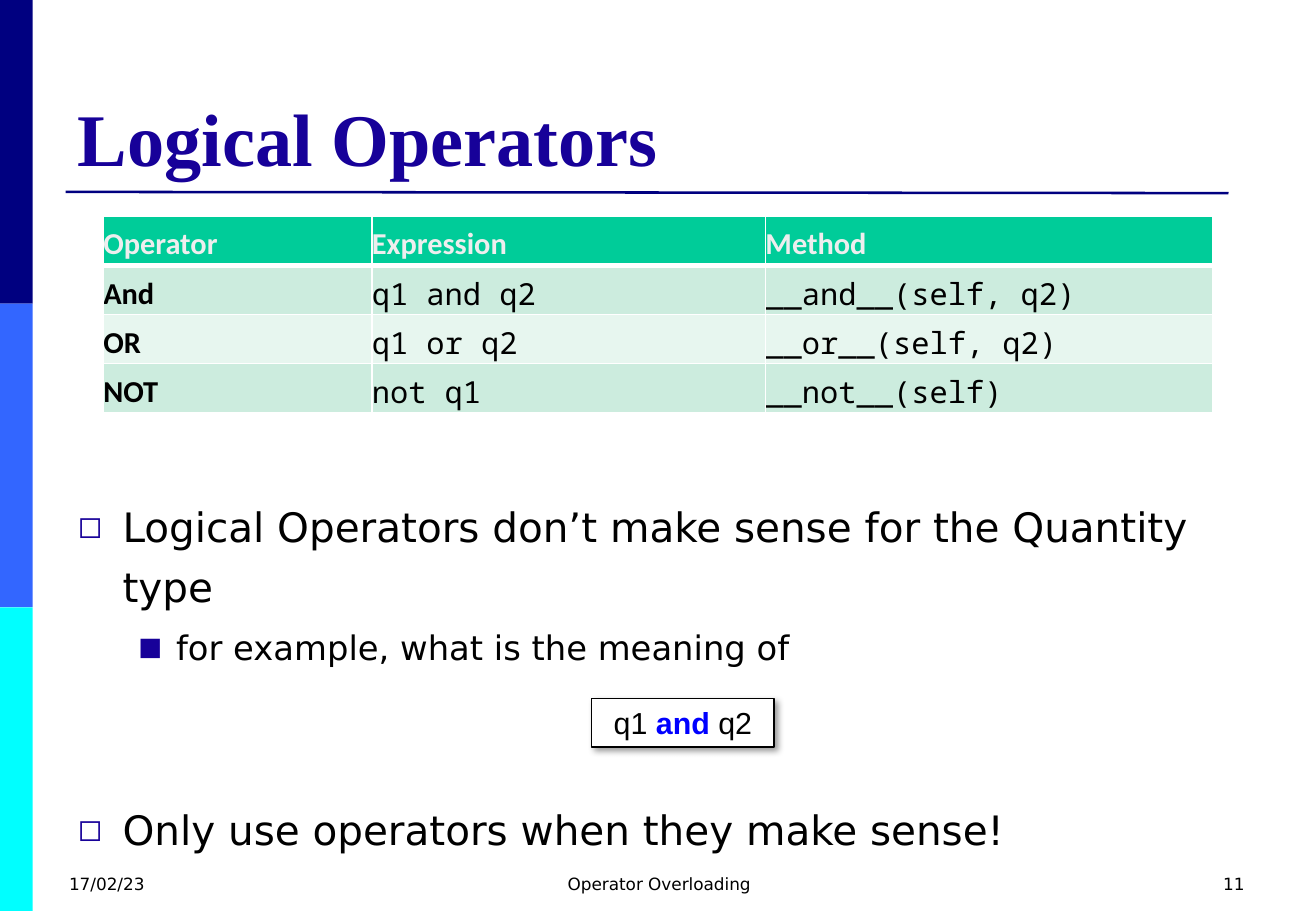
from typing import NamedTuple

from lxml.etree import SubElement
from pptx import Presentation
from pptx.dml.color import RGBColor
from pptx.enum.shapes import MSO_CONNECTOR, MSO_SHAPE
from pptx.enum.text import MSO_ANCHOR as ANCHOR, MSO_AUTO_SIZE as AUTO, PP_ALIGN as ALIGN
from pptx.oxml.ns import qn
from pptx.util import Inches, Pt

COLORS = {
    "navy": "000080", "blue": "3366FF", "cyan": "00FFFF", "title": "170199",
    "black": "000000", "white": "FFFFFF", "keyword": "0000FF",
    "head": "00CC99", "head_text": "EEEEEE", "band": "CCECDE", "light": "E7F6EF",
}
SANS, MONO = "DejaVu Sans", "Noto Sans Mono"


class Bullet(NamedTuple):
    text: str
    size: float
    symbol: str
    margin: float
    hang: float
    spacing: float
    before: float


class Footer(NamedTuple):
    text: str
    left: float
    width: float
    align: ALIGN


BULLETS = [
    Bullet("Logical Operators don’t make sense for the Quantity type", 24, "◻", 0.37, 0.37, 1.25, 0),
    Bullet("for example, what is the meaning of", 20, "■", 0.81, 0.31, 1.15, 6),
    Bullet("Only use operators when they make sense!", 24, "◻", 0.37, 0.37, 1.25, 74),
]
FOOTERS = [
    Footer("17/02/23", 0.47, 2.53, ALIGN.LEFT),
    Footer("Operator Overloading", 3.71, 3.43, ALIGN.CENTER),
    Footer("11", 7.81, 2.53, ALIGN.RIGHT),
]
ROWS = [
    ("Operator", "Expression", "Method"),
    ("And", "q1 and q2", "__and__(self, q2)"),
    ("OR", "q1 or q2", "__or__(self, q2)"),
    ("NOT", "not q1", "__not__(self)"),
]
COLUMN_WIDTHS = [2.21, 3.24, 3.68]
TABLE_HEIGHT = 1.62


def rgb(name: str) -> RGBColor:
    return RGBColor.from_string(COLORS[name])


def add_run(p, text: str, size: float, font: str, color: str = "black", bold: bool = False) -> None:
    r = p.add_run()
    r.text = text
    r.font.size, r.font.name, r.font.bold = Pt(size), font, bold
    r.font.color.rgb = rgb(color)


def add_rect(slide, left: float, top: float, width: float, height: float, color: str):
    sp = slide.shapes.add_shape(MSO_SHAPE.RECTANGLE, Inches(left), Inches(top),
                                Inches(width), Inches(height))
    sp.shadow.inherit = False
    sp.fill.solid()
    sp.fill.fore_color.rgb = rgb(color)
    sp.line.fill.background()
    return sp


def add_text_frame(slide, left: float, top: float, width: float, height: float):
    tf = slide.shapes.add_textbox(Inches(left), Inches(top), Inches(width), Inches(height)).text_frame
    tf.word_wrap = True
    return tf


def add_bullet(p, item: Bullet) -> None:
    pPr = p._p.get_or_add_pPr()
    pPr.set("marL", str(Inches(item.margin)))
    pPr.set("indent", str(-Inches(item.hang)))
    p.line_spacing, p.space_before = item.spacing, Pt(item.before)
    SubElement(SubElement(pPr, qn("a:buClr")), qn("a:srgbClr"), val=COLORS["title"])
    SubElement(pPr, qn("a:buSzPct"), val="75000")
    SubElement(pPr, qn("a:buFont"), typeface=SANS)
    SubElement(pPr, qn("a:buChar"), char=item.symbol)
    add_run(p, item.text, item.size, SANS)


def add_borders(cell, top: float, bottom: float) -> None:
    tcPr = cell._tc.get_or_add_tcPr()
    for tag, width in (("lnL", 1), ("lnR", 1), ("lnT", top), ("lnB", bottom)):
        ln = SubElement(tcPr, qn(f"a:{tag}"), w=str(Pt(width)))
        SubElement(SubElement(ln, qn("a:solidFill")), qn("a:srgbClr"), val=COLORS["white"])


def add_operator_table(slide) -> None:
    table = slide.shapes.add_table(len(ROWS), len(COLUMN_WIDTHS), Inches(0.85), Inches(1.78),
                                   Inches(sum(COLUMN_WIDTHS)), Inches(TABLE_HEIGHT)).table
    table.horz_banding = False
    for column, width in zip(table.columns, COLUMN_WIDTHS):
        column.width = Inches(width)
    for i, texts in enumerate(ROWS):
        table.rows[i].height = Inches(TABLE_HEIGHT / len(ROWS))
        fill = "head" if i == 0 else "band" if i % 2 else "light"
        for j, text in enumerate(texts):
            cell = table.cell(i, j)
            cell.margin_left = cell.margin_bottom = 0
            cell.margin_top = cell.margin_right = Inches(0.06)
            cell.vertical_anchor = ANCHOR.MIDDLE
            add_borders(cell, 3 if i == 1 else 1, 3 if i == 0 else 1)
            cell.fill.solid()
            cell.fill.fore_color.rgb = rgb(fill)
            label = i == 0 or j == 0
            add_run(cell.text_frame.paragraphs[0], text, 18, "Calibri" if label else MONO,
                    "black" if i else "head_text", label)


def add_code_box(slide) -> None:
    sp = add_rect(slide, 4.87, 5.75, 1.5, 0.4, "white")
    sp.line.color.rgb = rgb("black")
    sp.line.width = Pt(0.75)
    effects = sp._element.spPr.find(qn("a:effectLst"))
    shadow = SubElement(effects, qn("a:outerShdw"), blurRad=str(Pt(4)), dist=str(Pt(3)),
                        dir="2700000", algn="tl", rotWithShape="0")
    color = SubElement(shadow, qn("a:srgbClr"), val=COLORS["black"])
    SubElement(color, qn("a:alpha"), val="40000")
    tf = sp.text_frame
    tf.auto_size = AUTO.SHAPE_TO_FIT_TEXT
    p = tf.paragraphs[0]
    p.alignment = ALIGN.CENTER
    add_run(p, "q1 ", 18, "Arial")
    add_run(p, "and", 18, "Arial", "keyword", True)
    add_run(p, " q2", 18, "Arial")


def main() -> None:
    prs = Presentation()
    prs.slide_width, prs.slide_height = Inches(10.83), Inches(7.5)
    slide = prs.slides.add_slide(prs.slide_layouts[5])

    # Side bands and title rule
    for i, color in enumerate(("navy", "blue", "cyan")):
        add_rect(slide, 0, 2.5 * i, 0.27, 2.5, color)
    rule = slide.shapes.add_connector(MSO_CONNECTOR.STRAIGHT, Inches(0.54), Inches(1.58),
                                      Inches(10.11), Inches(1.59))
    rule.line.color.rgb = rgb("navy")
    rule.line.width = Pt(1.5)
    SubElement(rule._element.spPr, qn("a:effectLst"))

    # Title
    title = slide.shapes.title
    title.left, title.top = Inches(0.54), Inches(0.3)
    title.width, title.height = Inches(9.75), Inches(1.24)
    tf = title.text_frame
    tf.auto_size, tf.vertical_anchor = AUTO.NONE, ANCHOR.BOTTOM
    tf.paragraphs[0].alignment = ALIGN.LEFT
    add_run(tf.paragraphs[0], "Logical Operators", 44, "Times New Roman", "title", True)

    add_operator_table(slide)

    # Body
    tf = add_text_frame(slide, 0.54, 3.98, 9.75, 2.72)
    for i, item in enumerate(BULLETS):
        add_bullet(tf.add_paragraph() if i else tf.paragraphs[0], item)
    add_code_box(slide)

    # Footer
    for footer in FOOTERS:
        p = add_text_frame(slide, footer.left, 7.14, footer.width, 0.36).paragraphs[0]
        p.alignment = footer.align
        add_run(p, footer.text, 10, SANS)

    prs.save("out.pptx")


if __name__ == "__main__":
    main()
